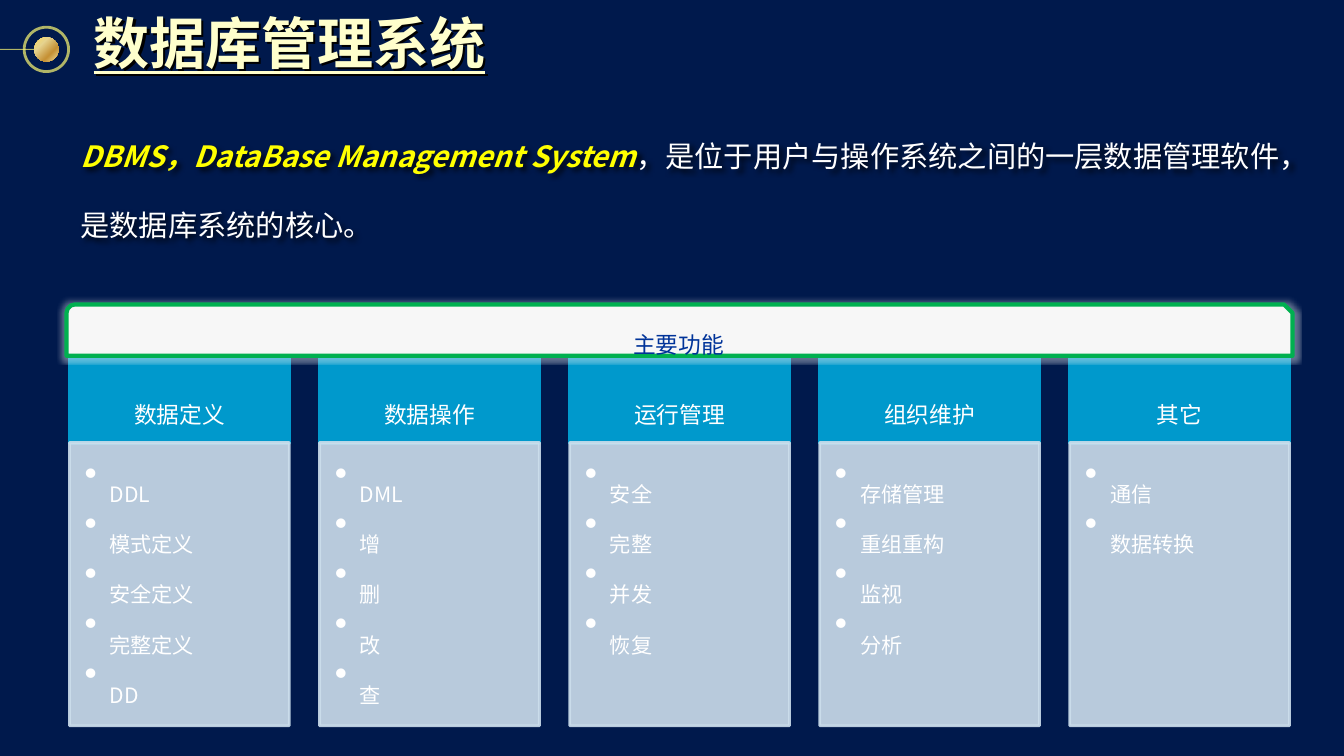
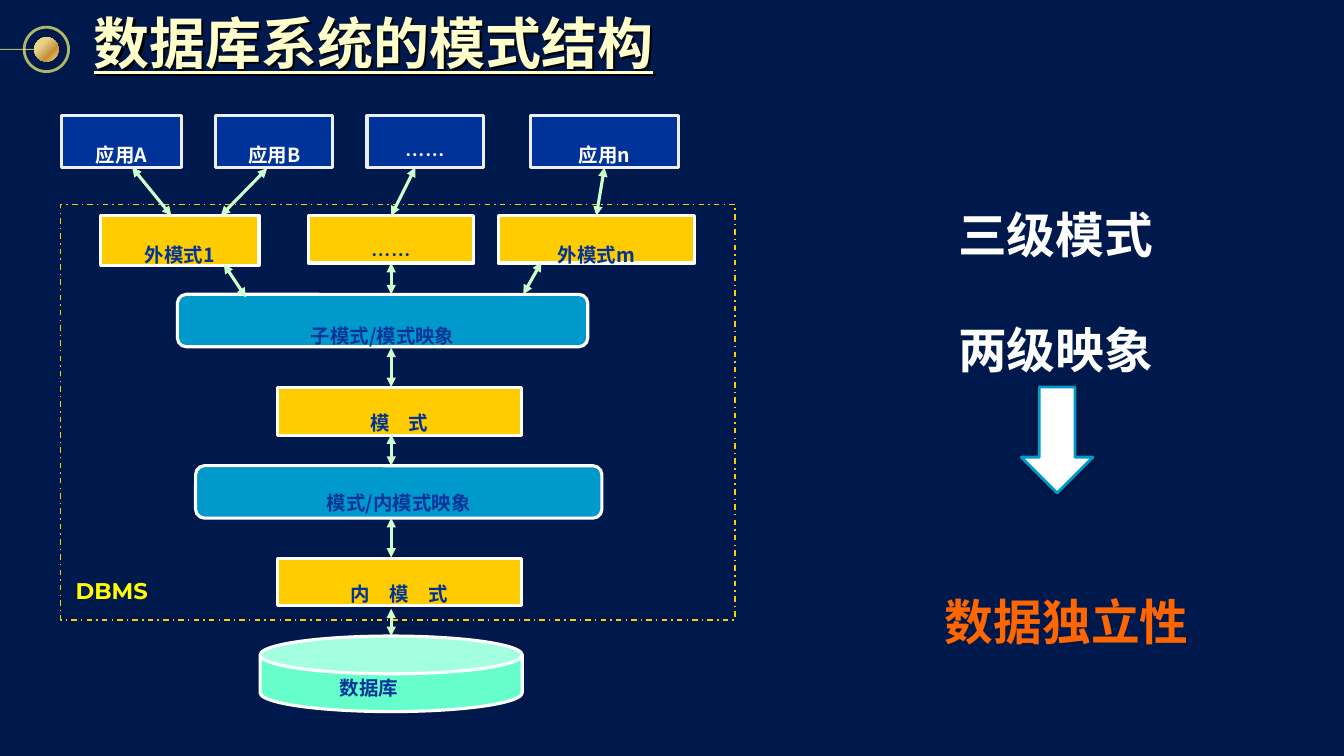
import dataclasses

import lxml.etree
import pptx
import pptx.dml.color
import pptx.enum.dml
import pptx.enum.shapes
import pptx.enum.text
import pptx.oxml.ns
import pptx.util

Inches = pptx.util.Inches
Pt = pptx.util.Pt
qn = pptx.oxml.ns.qn
Kind = pptx.enum.shapes.MSO_SHAPE
Align = pptx.enum.text.PP_ALIGN
Anchor = pptx.enum.text.MSO_ANCHOR


@dataclasses.dataclass(frozen=True)
class Theme:
    ground = "00194C"
    gold = "FCF873"
    ball = ((0, "FCD860"), (31, "E6D38F"), (68, "C69135"), (100, "F1DF97"))
    cream = "FFFFCC"
    yellow = "FFFF00"
    white = "FFFFFF"
    black = "000000"
    paper = "F7F7F7"
    green = "00B050"
    sky = "0099CC"
    mist = "CCDEEC"
    navy = "003399"
    pale = "EEEFF4"
    amber = "FFCC00"
    orange = "FF6600"
    mint = "66FFCC"
    arrow = "CCFFCC"
    font = "Noto Sans CJK SC"
    latin_font = "Montserrat"
    title_size = 40
    lead_size = 36
    head_size = 28
    item_size = 26
    box_size = 24
    claim_size = 60


THEME = Theme()


def style(size, color, lowered=True, font=THEME.font, **extra):
    """Text style; lowered text is set as a subscript."""
    values = {"name": font, "size": Pt(size), "bold": False, **extra}
    return {"values": values, "color": color, "lowered": lowered}


STYLES = {
    "title": style(THEME.title_size, THEME.cream, lowered=False, bold=True, underline=True),
    "term": style(THEME.lead_size, THEME.yellow, bold=True, italic=True),
    "lead": style(THEME.lead_size, THEME.white),
    "banner": style(THEME.head_size, THEME.navy),
    "head": style(THEME.head_size, THEME.white),
    "item": style(THEME.item_size, THEME.white),
    "app": style(THEME.box_size, THEME.white, bold=True),
    "schema": style(THEME.box_size, THEME.navy, bold=True),
    "system": style(THEME.head_size, THEME.yellow, font=THEME.latin_font, bold=True),
    "claim": style(THEME.claim_size, THEME.white, bold=True),
    "result": style(THEME.claim_size, THEME.orange, bold=True),
}


def rgb(color):
    return pptx.dml.color.RGBColor.from_string(color)


def add_xml(parent, tag, **attributes):
    return lxml.etree.SubElement(parent, qn(tag), attributes)


def fade(parent, percent):
    """Make the solid colour below an element partly transparent."""
    color = parent.find(".//" + qn("a:srgbClr"))
    add_xml(color, "a:alpha", val=str(percent * 1000))


class Deck:
    def __init__(self, theme):
        self.theme = theme
        self.show = pptx.Presentation()
        self.show.slide_width, self.show.slide_height = Inches(13.33), Inches(7.5)
        fill = self.show.slide_master.background.fill
        fill.solid()
        fill.fore_color.rgb = rgb(theme.ground)
        self.page = None

    def new_page(self, title):
        self.page = self.show.slides.add_slide(self.show.slide_layouts[6])
        self.shape(Kind.OVAL, (0.24, 0.27, 0.44, 0.44), None, self.theme.gold, 2, line_alpha=70)
        rod = self.link((0, 0.49), (0.34, 0.49), self.theme.gold, 0.75, arrows=False)
        fade(rod.line._ln, 70)
        self.ball((0.34, 0.37, 0.24, 0.24))
        box = self.label((0.85, 0, 12, 0.83), [[(title, "title")]], anchor=Anchor.MIDDLE,
                         margins=(0.08,) * 4)
        self.effect(box, "a:outerShdw", self.theme.black, 100, dist="30000", dir="2700000")

    def ball(self, at):
        ball = self.shape(Kind.OVAL, at)
        ball.fill.gradient()
        ball.fill.gradient_angle = 315
        stops = ball._element.spPr.find(".//" + qn("a:gsLst"))
        for stop in list(stops):
            stops.remove(stop)
        for percent, color in self.theme.ball:
            stop = add_xml(stops, "a:gs", pos=str(percent * 1000))
            add_xml(stop, "a:srgbClr", val=color)

    def shape(self, kind, at, fill=None, line=None, width=2.25, fill_alpha=None,
              line_alpha=None, dash=None):
        shape = self.page.shapes.add_shape(kind, *map(Inches, at))
        shape.shadow.inherit = False
        if fill:
            shape.fill.solid()
            shape.fill.fore_color.rgb = rgb(fill)
        else:
            shape.fill.background()
        if line:
            shape.line.color.rgb = rgb(line)
            shape.line.width = Pt(width)
        else:
            shape.line.fill.background()
        if dash:
            shape.line.dash_style = dash
        if fill_alpha:
            fade(shape._element.spPr.find(qn("a:solidFill")), fill_alpha)
        if line_alpha:
            fade(shape.line._ln, line_alpha)
        return shape

    def effect(self, shape, tag, color, alpha, **attributes):
        shape.shadow.inherit = False
        effects = shape._element.spPr.find(qn("a:effectLst"))
        effect = add_xml(effects, tag, **attributes)
        add_xml(effect, "a:srgbClr", val=color)
        fade(effect, alpha)

    def label(self, at, paragraphs, **options):
        box = self.page.shapes.add_textbox(*map(Inches, at))
        self.set_text(box, paragraphs, **options)
        return box

    def set_text(self, box, paragraphs, align=Align.LEFT, anchor=Anchor.TOP,
                 margins=(0.1, 0.05, 0.1, 0.05), spacing=None, after=None, bullet=False):
        """Fill a box with paragraphs, each a list of (text, style name) spans."""
        frame = box.text_frame
        left, top, right, bottom = map(Inches, margins)
        layout = {"word_wrap": True, "vertical_anchor": anchor, "margin_left": left,
                  "margin_top": top, "margin_right": right, "margin_bottom": bottom}
        for name, value in layout.items():
            setattr(frame, name, value)
        for number, spans in enumerate(paragraphs):
            para = frame.add_paragraph() if number else frame.paragraphs[0]
            for name, value in {"alignment": align, "line_spacing": spacing,
                                "space_after": after}.items():
                setattr(para, name, value)
            if bullet:
                properties = para._p.get_or_add_pPr()
                properties.set("marL", str(Inches(0.25)))
                properties.set("indent", str(-Inches(0.25)))
                add_xml(properties, "a:buChar", char="•")
            for text, style_name in spans:
                self.span(para, text, STYLES[style_name])

    def span(self, para, text, look):
        span = para.add_run()
        span.text = text
        for name, value in look["values"].items():
            setattr(span.font, name, value)
        span.font.color.rgb = rgb(look["color"])
        properties = span._r.get_or_add_rPr()
        add_xml(properties, "a:ea", typeface=look["values"]["name"])
        if look["lowered"]:
            properties.set("baseline", "-25000")

    def link(self, start, end, color=THEME.arrow, width=2.25, arrows=True):
        """Join two ends, each an (x, y) point or a (box, side) pair."""
        points = [(0, 0) if hasattr(where[0], "shape_id") else where for where in (start, end)]
        line = self.page.shapes.add_connector(
            pptx.enum.shapes.MSO_CONNECTOR.STRAIGHT, *(Inches(n) for xy in points for n in xy))
        for where, connect in ((start, line.begin_connect), (end, line.end_connect)):
            if hasattr(where[0], "shape_id"):
                connect(*where)
        line.line.color.rgb = rgb(color)
        line.line.width = Pt(width)
        if arrows:
            for tag in ("a:headEnd", "a:tailEnd"):
                add_xml(line.line._ln, tag, type="triangle")
        add_xml(line._element.spPr, "a:effectLst")
        return line


def management_system(deck):
    theme = deck.theme
    deck.new_page("数据库管理系统")
    lead = deck.label((0.7, 0.99, 12.11, 2.05), [[
        ("DBMS，DataBase Management System", "term"),
        ("，是位于用户与操作系统之间的一层数据管理软件，是数据库系统的核心。", "lead")]],
        after=Pt(18))
    deck.effect(lead, "a:outerShdw", theme.black, 80, blurRad="38100", dist="30000",
                dir="2700000")
    functions = {
        "数据定义": ("DDL", "模式定义", "安全定义", "完整定义", "DD"),
        "数据操作": ("DML", "增", "删", "改", "查"),
        "运行管理": ("安全", "完整", "并发", "恢复"),
        "组织维护": ("存储管理", "重组重构", "监视", "分析"),
        "其它": ("通信", "数据转换"),
    }
    for column, (head, items) in enumerate(functions.items()):
        left = 0.69 + 2.48 * column
        top_box = deck.shape(Kind.RECTANGLE, (left, 3.53, 2.18, 0.87), theme.sky, theme.sky, 2)
        deck.set_text(top_box, [[(head, "head")]], align=Align.CENTER, anchor=Anchor.MIDDLE,
                      margins=(0.22, 0.12, 0.22, 0.12), spacing=0.9, after=Pt(9.8))
        list_box = deck.shape(Kind.RECTANGLE, (left, 4.39, 2.18, 2.81), theme.mist, theme.mist, 2,
                              fill_alpha=90, line_alpha=90)
        deck.set_text(list_box, [[(item, "item")] for item in items],
                      margins=(0.15, 0.15, 0.2, 0.23), spacing=0.9, after=Pt(3.9), bullet=True)
    banner = deck.shape(Kind.SNIP_ROUND_RECTANGLE, (0.66, 3.02, 12.16, 0.51),
                        theme.paper, theme.green, 3)
    deck.effect(banner, "a:glow", theme.paper, 40, rad="63500")
    deck.set_text(banner, [[("主要功能", "banner")]], align=Align.CENTER, anchor=Anchor.MIDDLE)


def schema_structure(deck):
    theme = deck.theme
    deck.new_page("数据库系统的模式结构")
    claims = (("三级模式", "claim", (8.73, 1.42, 3.48, 0.74)),
              ("两级映象", "claim", (8.73, 2.57, 3.48, 0.74)),
              ("数据独立性", "result", (8.19, 5.26, 4.78, 0.87)))
    for text, look, at in claims:
        deck.label(at, [[(text, look)]], align=Align.CENTER)
    down = deck.shape(Kind.DOWN_ARROW, (10.13, 3.84, 0.71, 1.05), theme.white, theme.sky, 2)
    deck.effect(down, "a:outerShdw", theme.black, 40, blurRad="63500")

    deck.shape(Kind.RECTANGLE, (0.6, 2.03, 6.69, 4.12), None, theme.amber, 1,
               dash=pptx.enum.dml.MSO_LINE.DASH_DOT)

    def node(text, at, fill, line=theme.white, look="schema", kind=Kind.RECTANGLE, **options):
        box = deck.shape(kind, at, fill, line)
        if kind == Kind.ROUNDED_RECTANGLE:
            box.adjustments[0] = 0.17
        deck.set_text(box, [[(text, look)]], align=Align.CENTER, **options)
        return box

    apps = [node(text, (left, 1.15, width, 0.51), theme.navy, theme.pale, "app")
            for text, left, width in (("应用A", 0.61, 1.19), ("应用B", 2.14, 1.16),
                                      ("……", 3.64, 1.16), ("应用n", 5.26, 1.47))]
    views = [node(text, (left, 2.14, width, height), theme.amber)
             for text, left, width, height in (("外模式1", 1, 1.57, 0.49),
                                               ("……", 3.06, 1.64, 0.47),
                                               ("外模式m", 4.94, 1.95, 0.47))]
    flat = {"anchor": Anchor.MIDDLE, "margins": (0.1, 0, 0.1, 0)}
    node("子模式/模式映象", (1.76, 2.92, 4.07, 0.52), theme.sky, kind=Kind.ROUNDED_RECTANGLE)
    node("模　式", (2.75, 3.84, 2.42, 0.48), theme.amber, kind=Kind.FLOWCHART_PROCESS, **flat)
    node("模式/内模式映象", (1.94, 4.62, 4.03, 0.52), theme.sky,
         kind=Kind.ROUNDED_RECTANGLE, **flat)
    node("内　模　式", (2.75, 5.54, 2.42, 0.47), theme.amber,
         kind=Kind.FLOWCHART_PROCESS, **flat)
    store = deck.shape(Kind.CAN, (2.58, 6.31, 2.6, 0.75), theme.mint, theme.white)
    store.adjustments[0] = 0.5

    axis = 3.88
    for top, bottom in ((3.45, 3.84), (4.31, 4.62), (5.14, 5.53), (6.04, 6.31)):
        deck.link((axis, top), (axis, bottom))
    for start, end in (((1.31, 1.66), (1.7, 2.14)),
                       ((2.65, 1.67), (2.19, 2.14)),
                       ((4.12, 1.66), (views[1], 0)),
                       ((apps[3], 2), (views[2], 0)),
                       ((2.22, 2.62), (2.44, 2.95)),
                       ((views[1], 2), (axis, 2.92)),
                       ((5.19, 2.92), (5.37, 2.6))):
        deck.link(start, end)
    for text, look, at in (("数据库", "schema", (3.29, 6.4, 1.17, 0.56)),
                           ("DBMS", "system", (0.67, 5.38, 1.42, 0.63))):
        deck.label(at, [[(text, look)]], margins=(0.08,) * 4)


def main():
    deck = Deck(THEME)
    management_system(deck)
    schema_structure(deck)
    deck.show.save("out.pptx")


if __name__ == "__main__":
    main()
